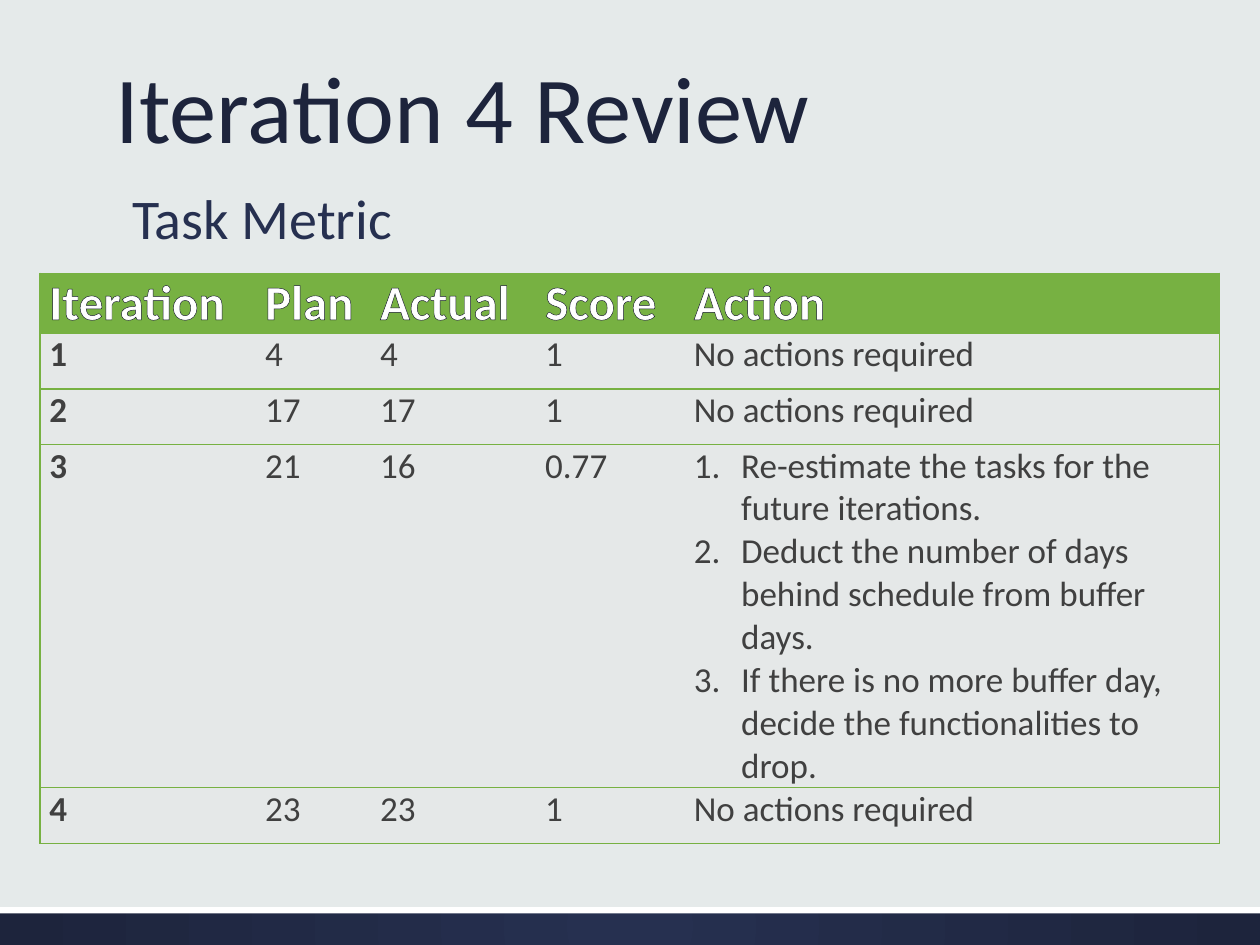
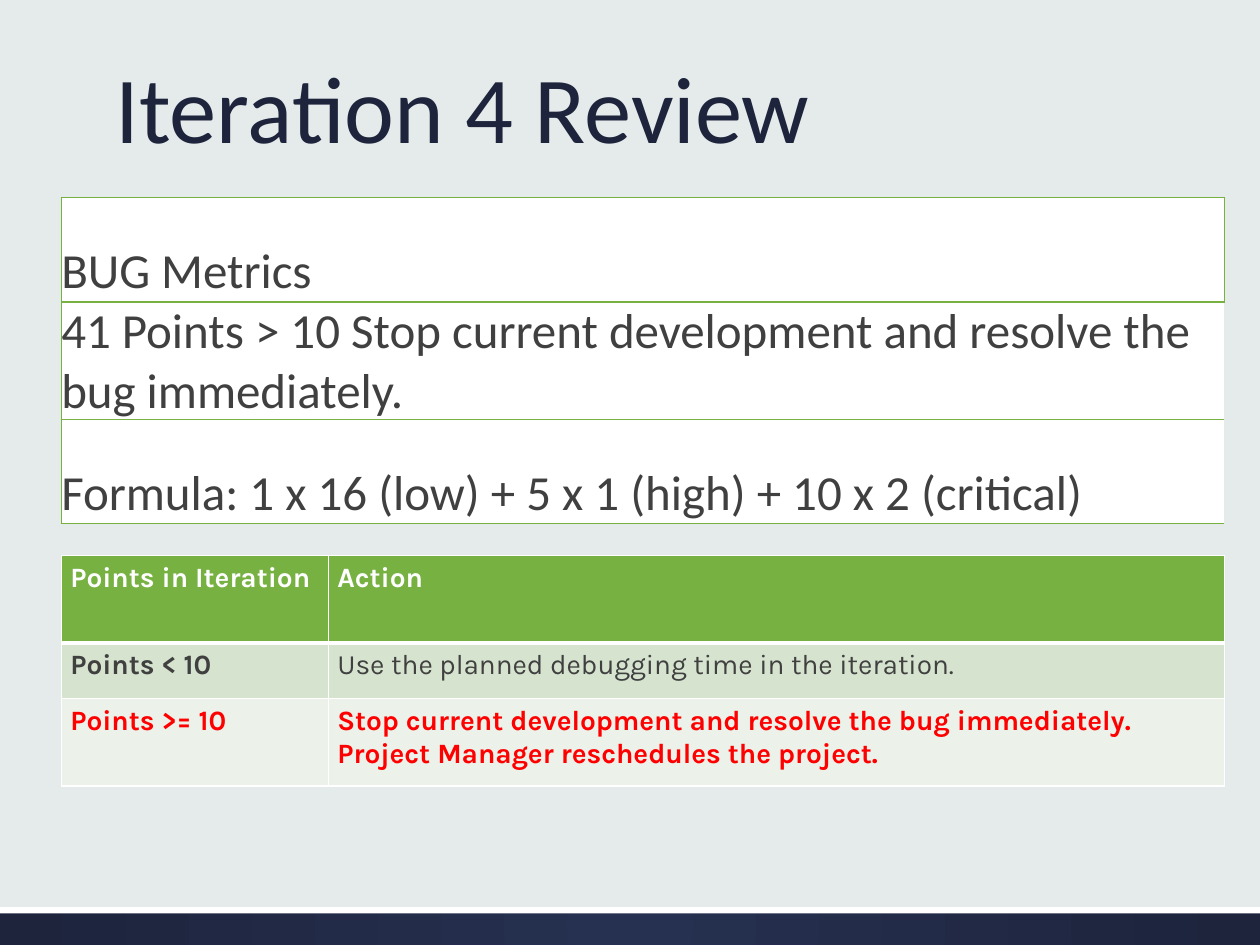
from lxml import etree
from pptx import Presentation
from pptx.dml.color import RGBColor
from pptx.enum.shapes import MSO_SHAPE
from pptx.enum.text import MSO_ANCHOR
from pptx.oxml import parse_xml
from pptx.oxml.ns import qn
from pptx.util import Pt

RECTANGLE = MSO_SHAPE.RECTANGLE
TOP, MIDDLE, BOTTOM = MSO_ANCHOR.TOP, MSO_ANCHOR.MIDDLE, MSO_ANCHOR.BOTTOM
NAMESPACE = "http://schemas.openxmlformats.org/drawingml/2006/main"

# Shared look
SLIDE_WIDTH, SLIDE_HEIGHT = 720, 540
BAND_TOP = 518.4
BACKGROUND, NAVY, DARK_NAVY = "E5EAEA", "263050", "1D243C"
OUTLINE, GREEN, WHITE = "131828", "77B142", "FFFFFF"
GRAY, RED, PALE_GRAY = "404040", "FF0000", "E5E8E8"
PALE_GREEN, PALEST_GREEN = "D6E4CF", "ECF2E9"
FONT, METRIC_FONT = "Calibri", "Karla"

# Content
TITLE = "Iteration 4 Review"
SUBTITLE = "Task Metric"
NO_ACTION = "No actions required"
TASK_ROWS = [
    ["Iteration", "Plan", "Actual", "Score", "Action"],
    ["1", "4", "4", "1", NO_ACTION],
    ["2", "17", "17", "1", NO_ACTION],
    ["3", "21", "16", "0.77", [
        "Re-estimate the tasks for the future iterations.",
        "Deduct the number of days behind schedule from buffer days.",
        "If there is no more buffer day, decide the functionalities to drop.",
    ]],
    ["4", "23", "23", "1", NO_ACTION],
]
BUG_ROWS = [
    ["BUG Metrics", ""],
    ["41 Points > 10 Stop current development and resolve the bug immediately.", ""],
    ["Formula: 1 x 16 (low) + 5 x 1 (high) + 10 x 2 (critical)", ""],
]
POINT_ROWS = [
    ["Points in Iteration", "Action"],
    ["Points < 10", "Use the planned debugging time in the iteration."],
    ["Points >= 10", "Stop current development and resolve the bug immediately. "
                     "Project Manager reschedules the project."],
]


def color(value):
    return RGBColor.from_string(value)


def write_text(text_frame, text, size=20, font=FONT, fill=GRAY, bold=False,
               anchor=None, spacing=None, outline=None):
    """Write a string, or a list of strings as numbered paragraphs."""
    text_frame.word_wrap = True
    if anchor is not None:
        text_frame.vertical_anchor = anchor
    numbered = isinstance(text, list)
    for index, line in enumerate(text if numbered else [text]):
        paragraph = text_frame.add_paragraph() if index else text_frame.paragraphs[0]
        if spacing:
            paragraph.line_spacing = spacing
        if numbered:
            properties = paragraph._p.get_or_add_pPr()
            properties.set("marL", str(Pt(27)))
            properties.set("indent", str(Pt(-27)))
            etree.SubElement(properties, qn("a:buAutoNum"), type="arabicPeriod")
        run = paragraph.add_run()
        run.text = line
        run.font.size = Pt(size)
        run.font.name = font
        run.font.bold = bold
        run.font.color.rgb = color(fill)
        if outline:
            run._r.get_or_add_rPr().insert(0, line_element("ln", outline, 0.75))


def line_element(tag, fill, width):
    paint = f'<a:solidFill><a:srgbClr val="{fill}"/></a:solidFill>' if fill else "<a:noFill/>"
    return parse_xml(f'<a:{tag} xmlns:a="{NAMESPACE}" w="{Pt(width)}">{paint}</a:{tag}>')


def add_text_box(slide, text, left, top, width, height, **text_format):
    shape = slide.shapes.add_textbox(Pt(left), Pt(top), Pt(width), Pt(height))
    write_text(shape.text_frame, text, **text_format)


def add_band(slide, height, fill):
    shape = slide.shapes.add_shape(RECTANGLE, 0, Pt(BAND_TOP), Pt(SLIDE_WIDTH), Pt(height))
    shape.shadow.inherit = False
    shape.line.fill.background()
    shape.fill.solid()
    shape.fill.fore_color.rgb = color(fill)
    return shape


def add_base_slide(presentation):
    slide = presentation.slides.add_slide(presentation.slide_layouts[6])
    slide.background.fill.solid()
    slide.background.fill.fore_color.rgb = color(BACKGROUND)

    # Footer band with a radial gradient, edged in white
    band = add_band(slide, SLIDE_HEIGHT - BAND_TOP, NAVY)
    solid = band._element.spPr.find(qn("a:solidFill"))
    solid.getparent().replace(solid, parse_xml(
        f'<a:gradFill xmlns:a="{NAMESPACE}" rotWithShape="1"><a:gsLst>'
        f'<a:gs pos="0"><a:srgbClr val="{NAVY}"/></a:gs>'
        f'<a:gs pos="100000"><a:srgbClr val="{DARK_NAVY}"/></a:gs></a:gsLst>'
        '<a:path path="circle"><a:fillToRect l="50000" t="50000" r="50000" b="50000"/>'
        '</a:path></a:gradFill>'))
    add_band(slide, 3.6, WHITE)

    add_text_box(slide, TITLE, 59, 0, 562, 97, size=54, fill=DARK_NAVY,
                 anchor=BOTTOM, spacing=0.9)
    return slide


def add_table(slide, rows, left, top, widths, heights, cell_format, border,
              inner_vertical=False, header_rule=1, margins=(5.2, 0), merged_rows=()):
    """cell_format(row, column) gives a cell fill and its text format."""
    row_count, column_count = len(rows), len(widths)
    table = slide.shapes.add_table(row_count, column_count, Pt(left), Pt(top),
                                   Pt(sum(widths)), Pt(sum(heights))).table
    table.horz_banding = False
    for column, width in zip(table.columns, widths):
        column.width = Pt(width)
    for row, height in zip(table.rows, heights):
        row.height = Pt(height)

    for row, texts in enumerate(rows):
        for column, text in enumerate(texts):
            cell = table.cell(row, column)
            cell.margin_left = cell.margin_right = Pt(margins[0])
            cell.margin_top = cell.margin_bottom = Pt(margins[1])
            fill, text_format = cell_format(row, column)

            # Borders come before the fill in the cell properties
            left_line = border if inner_vertical or column == 0 else None
            right_line = border if inner_vertical or column == column_count - 1 else None
            sides = [("lnL", left_line, 1), ("lnR", right_line, 1),
                     ("lnT", border, header_rule if row == 1 else 1),
                     ("lnB", border, header_rule if row == 0 else 1)]
            properties = cell._tc.get_or_add_tcPr()
            for side in sides:
                properties.append(line_element(*side))
            cell.fill.solid()
            cell.fill.fore_color.rgb = color(fill)
            if text:
                cell.vertical_anchor = text_format.pop("anchor", TOP)
                write_text(cell.text_frame, text, **text_format)
    for row in merged_rows:
        table.cell(row, 0).merge(table.cell(row, column_count - 1))


def task_format(row, column):
    if row == 0:
        return GREEN, dict(size=28, fill=WHITE, bold=True, outline=OUTLINE)
    return PALE_GRAY, dict(bold=column == 0)


def bug_format(row, column):
    return WHITE, dict(size=28, anchor=MIDDLE if row == 1 else BOTTOM)


def point_format(row, column):
    fill = (GREEN, PALE_GREEN, PALEST_GREEN)[row]
    text_fill = (WHITE, GRAY, RED)[row]
    return fill, dict(size=16, font=METRIC_FONT, fill=text_fill,
                      bold=(row, column) != (1, 1))


def main():
    presentation = Presentation()
    presentation.slide_width = Pt(SLIDE_WIDTH)
    presentation.slide_height = Pt(SLIDE_HEIGHT)

    # Task metric
    slide = add_base_slide(presentation)
    add_text_box(slide, SUBTITLE, 68.4, 96, 426, 60.5, size=32, fill=NAVY,
                 anchor=MIDDLE, spacing=0.9)
    add_table(slide, TASK_ROWS, 23, 156.2, [123.3, 65.8, 94.3, 85, 305.5],
              [34, 32, 32, 196, 32], task_format, GREEN)

    # Bug metrics
    slide = add_base_slide(presentation)
    add_table(slide, POINT_ROWS, 35, 317.5, [152.6, 512], [50, 31.7, 50],
              point_format, WHITE, inner_vertical=True, header_rule=3,
              margins=(5.2, 3.6))
    add_table(slide, BUG_ROWS, 35, 113, [283.7, 380.9], [59.5, 65, 59.5],
              bug_format, GREEN, margins=(0, 0), merged_rows=(1, 2))

    presentation.save("out.pptx")


if __name__ == "__main__":
    main()
